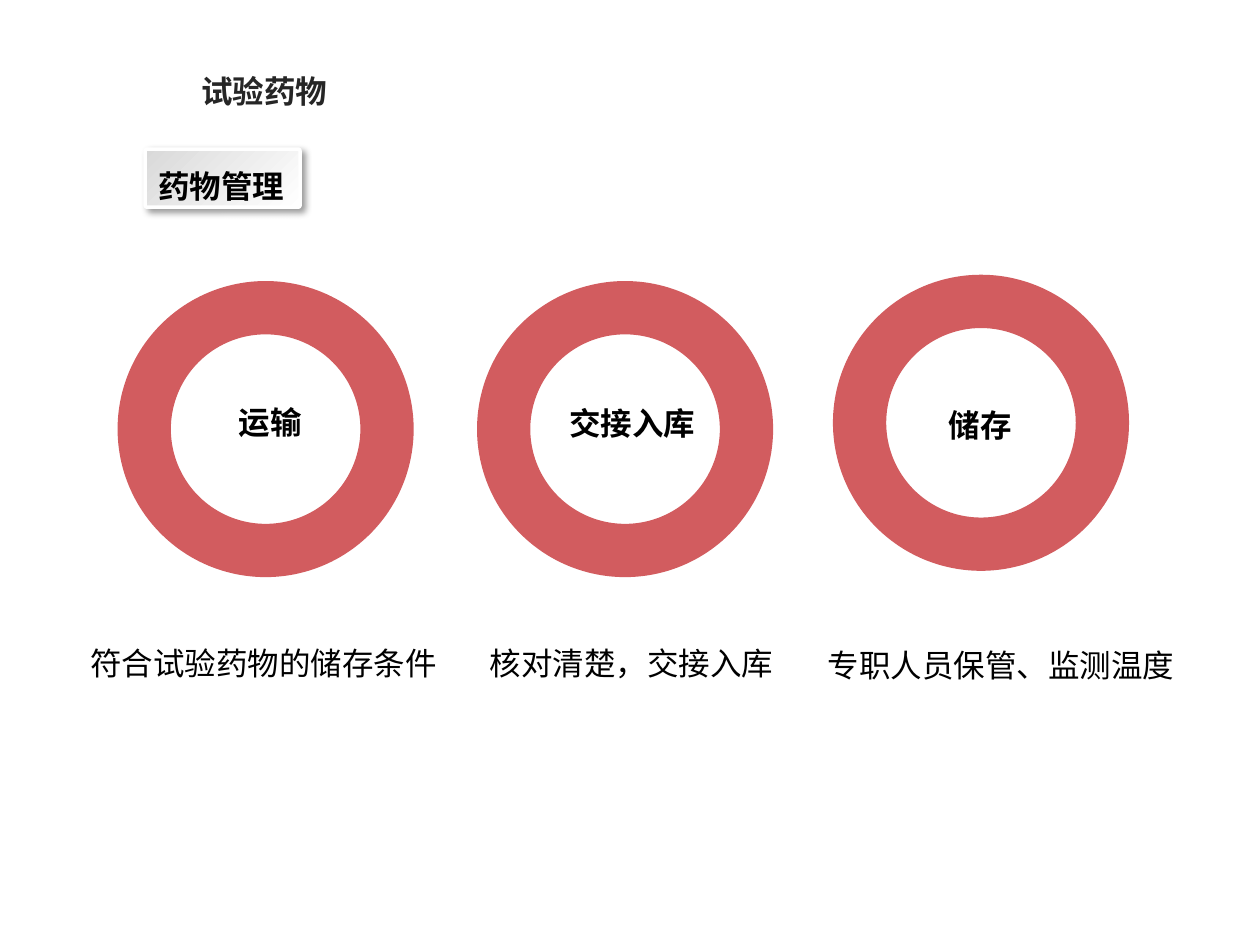
import lxml.etree
import pptx
import pptx.dml.color
import pptx.enum.shapes
import pptx.enum.text
import pptx.oxml
import pptx.oxml.ns
import pptx.util
from dataclasses import dataclass

Pt = pptx.util.Pt
SHAPES = pptx.enum.shapes.MSO_SHAPE


@dataclass(frozen=True)
class Theme:
    font: str = "Noto Sans CJK SC"
    size: int = 18
    title: str = "262626"
    text: str = "000000"
    ring: str = "D25C5F"
    badge_dark: str = "D9D9D9"
    badge_light: str = "FFFFFF"
    shadow: str = "000000"


def rgb(value):
    return pptx.dml.color.RGBColor.from_string(value)


def apply(target, values):
    for name, value in values.items():
        setattr(target, name, value)


def gradient(stops):
    items = "".join(
        f'<a:gs pos="{position * 1000}"><a:srgbClr val="{color}"/></a:gs>'
        for position, color in stops
    )
    return pptx.oxml.parse_xml(
        f'<a:gradFill {pptx.oxml.ns.nsdecls("a")}><a:gsLst>{items}</a:gsLst>'
        '<a:lin ang="2700000" scaled="0"/></a:gradFill>'
    )


class SlideBuilder:
    def __init__(self, slide, theme):
        self.slide = slide
        self.theme = theme

    def set_text(self, shape, text, color, bold, **paragraph_format):
        paragraph = shape.text_frame.paragraphs[0]
        apply(paragraph, {"alignment": pptx.enum.text.PP_ALIGN.LEFT, **paragraph_format})
        run = paragraph.add_run()
        run.text = text
        apply(run.font, {"name": self.theme.font, "size": Pt(self.theme.size), "bold": bold})
        run.font.color.rgb = rgb(color)
        properties = run.font._element
        east_asian = lxml.etree.SubElement(properties, pptx.oxml.ns.qn("a:ea"))
        east_asian.set("typeface", self.theme.font)

    def label(self, text, left, top, width, color=None, bold=False):
        shape = self.slide.shapes.add_textbox(Pt(left), Pt(top), Pt(width), Pt(29))
        apply(shape.text_frame, {
            "word_wrap": False,
            "auto_size": pptx.enum.text.MSO_AUTO_SIZE.SHAPE_TO_FIT_TEXT,
        })
        self.set_text(shape, text, color or self.theme.text, bold)

    def ring(self, left, top, diameter):
        shape = self.slide.shapes.add_shape(
            SHAPES.BLOCK_ARC, Pt(left), Pt(top), Pt(diameter), Pt(diameter))
        for index, value in enumerate((97.2, 97.19, 0.18)):
            shape.adjustments[index] = value
        shape.element.spPr.xfrm.set("flipH", "1")
        shape.shadow.inherit = False
        shape.fill.solid()
        shape.fill.fore_color.rgb = rgb(self.theme.ring)
        shape.line.fill.background()

    def badge(self, text, left, top, width, height):
        shape = self.slide.shapes.add_shape(
            SHAPES.ROUNDED_RECTANGLE, Pt(left), Pt(top), Pt(width), Pt(height))
        shape.adjustments[0] = 0.03
        dark, light = self.theme.badge_dark, self.theme.badge_light
        properties = shape.element.spPr
        properties.append(gradient([(0, dark), (100, light)]))
        shape.line.width = Pt(2)
        line = properties.find(pptx.oxml.ns.qn("a:ln"))
        line.append(gradient([(0, dark), (50, light), (100, light)]))
        properties.append(pptx.oxml.parse_xml(
            f'<a:effectLst {pptx.oxml.ns.nsdecls("a")}>'
            f'<a:outerShdw blurRad="{Pt(4)}" dist="{Pt(3)}" dir="2700000" algn="tl" rotWithShape="0">'
            f'<a:srgbClr val="{self.theme.shadow}"><a:alpha val="40000"/></a:srgbClr>'
            '</a:outerShdw></a:effectLst>'))
        apply(shape.text_frame, {
            "word_wrap": True,
            "vertical_anchor": pptx.enum.text.MSO_ANCHOR.MIDDLE,
        })
        self.set_text(shape, text, self.theme.text, True, line_spacing=Pt(30))


def main():
    presentation = pptx.Presentation()
    apply(presentation, {"slide_width": Pt(720), "slide_height": Pt(540)})
    slide = presentation.slides.add_slide(presentation.slide_layouts[6])
    theme = Theme()
    builder = SlideBuilder(slide, theme)

    builder.label("试验药物", 108, 37.4, 87, theme.title, True)
    builder.badge("药物管理", 83, 85.2, 88.5, 33.2)

    stages = [
        ((67.2, 160.6), ("运输", 129.4, 226.8, 63.4),
         ("符合试验药物的储存条件", 44.6, 364.3, 214.6)),
        ((272.6, 160.6), ("交接入库", 318.2, 227.3, 87),
         ("核对清楚，交接入库", 272.8, 364.3, 177.8)),
        ((476, 157), ("储存", 535, 228.3, 51),
         ("专职人员保管、监测温度", 465.9, 365.6, 214.6)),
    ]
    for ring, name, detail in stages:
        builder.ring(*ring, 169.2)
        builder.label(*name, bold=True)
        builder.label(*detail)

    presentation.save("out.pptx")


if __name__ == "__main__":
    main()
